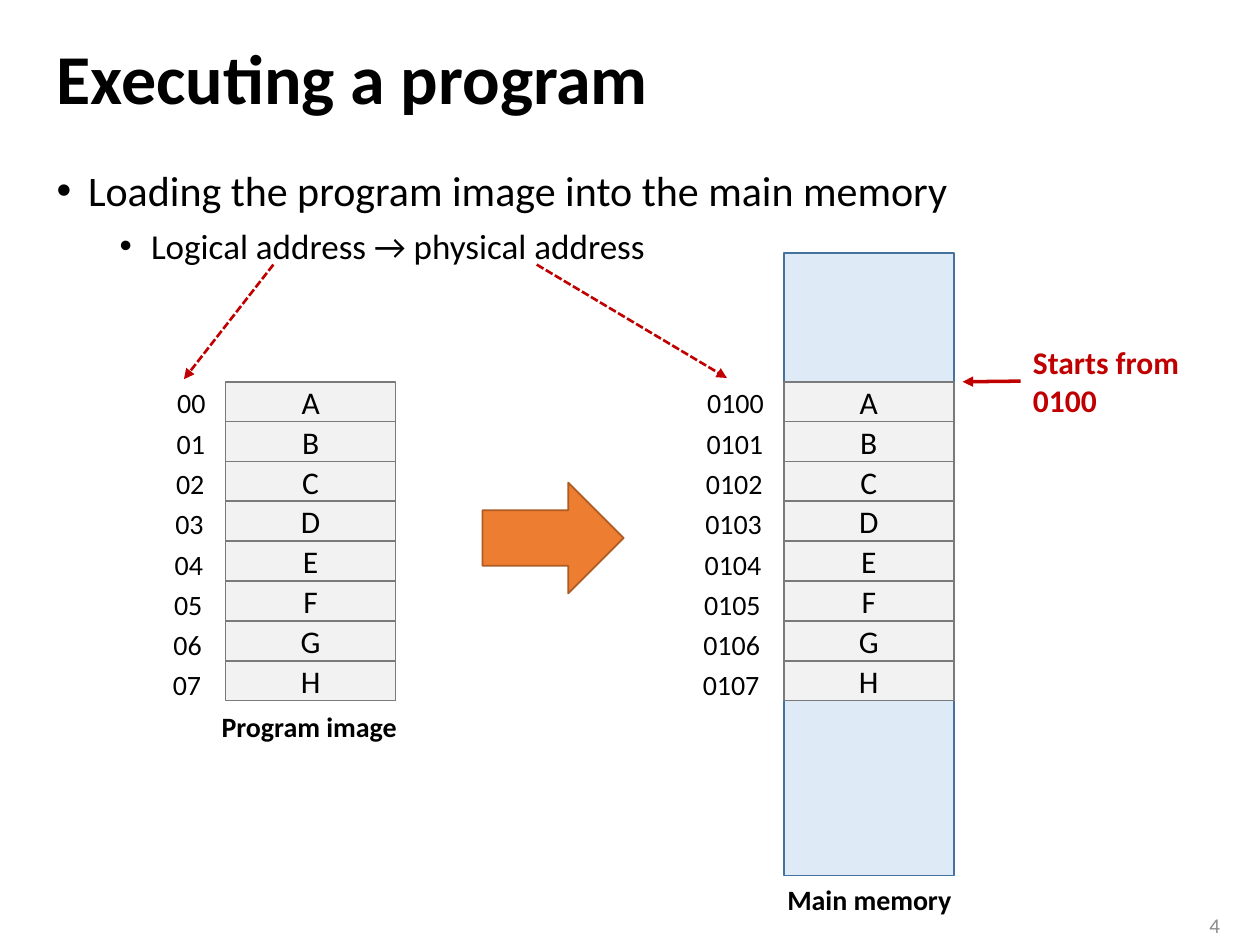
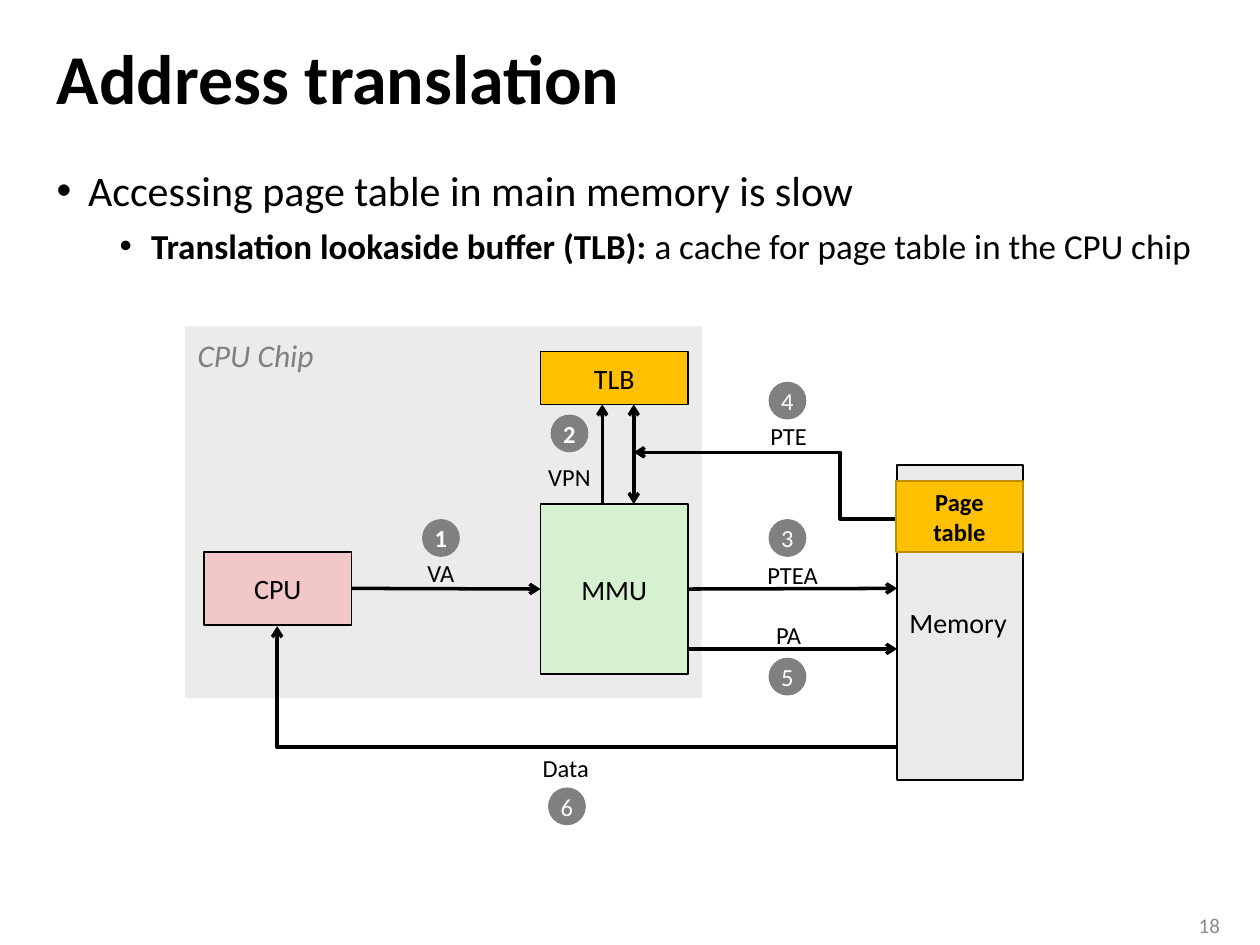
from dataclasses import dataclass

from lxml import etree
from pptx import Presentation
from pptx.dml.color import RGBColor
from pptx.enum import dml, shapes, text
from pptx.oxml import ns
from pptx.util import Inches, Pt


@dataclass(frozen=True)
class Theme:
    font: str = "Calibri"
    black: str = "000000"
    white: str = "FFFFFF"
    gray: str = "808080"
    pale: str = "EBEBEB"
    page: str = "8C8C8C"
    cell: str = "F2F2F2"
    edge: str = "7A7A7A"
    blue: str = "DEEBF7"
    navy: str = "43739E"
    orange: str = "ED7D31"
    rust: str = "AF5C24"
    red: str = "C00000"
    gold: str = "FFC000"
    ochre: str = "BD8E00"
    green: str = "D5F1CF"
    pink: str = "F1C7C7"
    title: int = 40
    head: int = 24
    sub: int = 20
    big: int = 18
    mid: int = 16
    small: int = 14
    foot: int = 12


T = Theme()
LEFT, MID, RIGHT = text.PP_ALIGN.LEFT, text.PP_ALIGN.CENTER, text.PP_ALIGN.RIGHT
RECT, OVAL = shapes.MSO_SHAPE.RECTANGLE, shapes.MSO_SHAPE.OVAL
ARROW = shapes.MSO_SHAPE.RIGHT_ARROW
LINE, ELBOW = shapes.MSO_CONNECTOR.STRAIGHT, shapes.MSO_CONNECTOR.ELBOW

# Each bullet: (left indent, size, space before, [(words, bold), ...])
LOAD = {
    "title": "Executing a program",
    "page": "4",
    "list": [
        (0.25, T.head, 0, [("Loading the program image into the main memory", False)]),
        (0.75, T.sub, 5, [("Logical address → physical address", False)]),
    ],
}
TRANS = {
    "title": "Address translation",
    "page": "18",
    "list": [
        (0.25, T.head, 0, [("Accessing page table in main memory is slow", False)]),
        (0.75, T.sub, 5, [("Translation lookaside buffer (TLB):", True),
                          (" a cache for page table in the CPU chip", False)]),
    ],
}

# Program image and main memory: the same cells, other addresses
CELLS = "ABCDEFGH"
STACKS = [(1.79, "0"), (6.22, "010")]  # left, address prefix
TOP, WIDE, TALL = 3.03, 1.35, 2.53
CAPS = [("Program image", (1.66, 5.58, 1.61, 0.37)),
        ("Main memory", (6.15, 6.95, 1.52, 0.37))]
LINKS = [((2.17, 2.1), (1.46, 3.01)), ((4.26, 2.1), (5.77, 3))]

# Parts of the translation path: place, fill
UNITS = {
    "MMU": ((4.29, 4, 1.17, 1.35), T.green),
    "CPU": ((1.62, 4.38, 1.17, 0.58), T.pink),
    "TLB": ((4.29, 2.79, 1.17, 0.42), T.gold),
}
SIGNS = [("PA", 6.26, 4.87), ("Data", 4.49, 5.93), ("VA", 3.5, 4.38),
         ("PTE", 6.26, 3.29), ("VPN", 4.52, 3.62), ("PTEA", 6.29, 4.4)]  # centre, top
STEPS = [("1", 3.35, 4.12, True), ("2", 4.37, 3.29, True), ("3", 6.1, 4.12, False),
         ("4", 6.1, 3.03, False), ("5", 6.1, 5.22, False), ("6", 4.35, 6.25, False)]
DOT = 0.3


def rgb(code):
    return RGBColor.from_string(code)


def ink(run, size, color=T.black, bold=False, italic=False):
    font = run.font
    font.name, font.size = T.font, Pt(size)
    font.bold, font.italic = bold, italic
    font.color.rgb = rgb(color)


def put(slide, at, words="", size=T.mid, fill=None, edge=None, width=1, kind=RECT,
        align=MID, anchor=text.MSO_ANCHOR.MIDDLE, wrap=False, **look):
    """Add a shape, or a text box when there is neither fill nor edge."""
    spot = [Inches(v) for v in at]
    if fill or edge:
        part = slide.shapes.add_shape(kind, *spot)
        part.shadow.inherit = False
        part.fill.solid()
        part.fill.fore_color.rgb = rgb(fill)
        if edge:
            part.line.color.rgb = rgb(edge)
            part.line.width = Pt(width)
        else:
            part.line.fill.background()
    else:
        part = slide.shapes.add_textbox(*spot)
    if words:
        frame = part.text_frame
        frame.text = words
        frame.word_wrap = wrap
        frame.vertical_anchor = anchor
        for para in frame.paragraphs:
            para.alignment = align
            for run in para.runs:
                ink(run, size, **look)
    return part


def wire(slide, start, end, color=T.black, width=2, tip="arrow", both=False,
         dash=False, kind=LINE):
    """Add a connector with an arrowhead at its end, or at both ends."""
    link = slide.shapes.add_connector(kind, *[Inches(v) for v in (*start, *end)])
    link.line.color.rgb = rgb(color)
    link.line.width = Pt(width)
    if dash:
        link.line.dash_style = dml.MSO_LINE.SQUARE_DOT
    pen = link.line._get_or_add_ln()
    for name in ["headEnd"] * both + ["tailEnd"]:
        etree.SubElement(pen, ns.qn("a:" + name), type=tip)
    etree.SubElement(link._element.spPr, ns.qn("a:effectLst"))
    return link


def bend(link, preset, adj=None):
    """Choose the elbow's preset and where along its width it turns."""
    geom = link._element.spPr.find(ns.qn("a:prstGeom"))
    geom.set("prst", preset)
    if adj:
        stops = geom.find(ns.qn("a:avLst"))
        if stops is None:
            stops = etree.SubElement(geom, ns.qn("a:avLst"))
        etree.SubElement(stops, ns.qn("a:gd"), name="adj1", fmla=f"val {adj}")


def start(deck, data):
    """Add a slide with its title, bullets and page number."""
    slide = deck.slides.add_slide(deck.slide_layouts[5])
    title = slide.shapes.title
    title.left, title.top, title.width, title.height = map(Inches, (0.35, 0.19, 9.29, 0.92))
    frame = title.text_frame
    frame.text = data["title"]
    frame.auto_size = text.MSO_AUTO_SIZE.NONE
    frame.vertical_anchor = text.MSO_ANCHOR.MIDDLE
    para = frame.paragraphs[0]
    para.alignment, para.line_spacing = LEFT, 0.9
    ink(para.runs[0], T.title, bold=True)

    body = slide.shapes.add_textbox(*map(Inches, (0.35, 1.26, 9.29, 5.83))).text_frame
    body.word_wrap = True
    for i, (left, size, gap, runs) in enumerate(data["list"]):
        para = body.add_paragraph() if i else body.paragraphs[0]
        para.space_before = Pt(gap)
        prop = para._p.get_or_add_pPr()
        prop.set("marL", str(Inches(left)))
        prop.set("indent", str(Inches(-0.25)))
        etree.SubElement(prop, ns.qn("a:buFont"), typeface="Arial")
        etree.SubElement(prop, ns.qn("a:buChar"), char="•")
        for words, bold in runs:
            run = para.add_run()
            run.text = words
            ink(run, size, bold=bold)
    put(slide, (9.27, 7.19, 0.51, 0.31), data["page"], T.foot, align=RIGHT,
        wrap=True, color=T.page)
    return slide


def load(deck):
    slide = start(deck, LOAD)
    put(slide, (6.22, 2.01, WIDE, 4.94), fill=T.blue, edge=T.navy)
    step = TALL / len(CELLS)
    for left, prefix in STACKS:
        for i, name in enumerate(CELLS):
            put(slide, (left, TOP + i * step, WIDE, step), name, T.big, T.cell, T.edge)
            put(slide, (left - 0.96 - i * 0.005, 3.01 + i * 0.32, 0.9, 0.37),
                f"{prefix}{i}", align=RIGHT, wrap=True)
    put(slide, (3.83, 3.83, 1.12, 0.88), fill=T.orange, edge=T.rust, kind=ARROW)
    note = put(slide, (8.1, 2.67, 1.37, 0.71), "Starts from\n0100", T.big, align=LEFT,
               color=T.red, bold=True)
    link = wire(slide, (8.1, TOP), (7.64, TOP), T.red, tip="triangle")
    link.begin_connect(note, 1)
    for words, at in CAPS:
        put(slide, at, words, align=LEFT, bold=True)
    for a, b in LINKS:
        wire(slide, a, b, T.red, 1.5, "triangle", dash=True)


def trans(deck):
    slide = start(deck, TRANS)
    put(slide, (1.47, 2.59, 4.1, 2.95), fill=T.pale)
    put(slide, (1.47, 2.62, 1.16, 0.4), "CPU Chip", T.big, align=LEFT,
        color=T.gray, italic=True)
    put(slide, (7.12, 3.69, 1, 2.5), "Memory", fill=T.pale, edge=T.black, width=1.5,
        align=LEFT)
    units = {name: put(slide, at, name, fill=fill, edge=T.black)
             for name, (at, fill) in UNITS.items()}

    va = wire(slide, (2.79, 4.67), (4.29, 4.67))
    va.begin_connect(units["CPU"], 3)
    va.end_connect(units["MMU"], 1)
    ptea = wire(slide, (5.46, 4.67), (7.12, 4.67))
    ptea.begin_connect(units["MMU"], 3)
    wire(slide, (5.46, 5.15), (7.12, 5.15))
    wire(slide, (4.78, 4), (4.78, 3.21))
    wire(slide, (5.03, 3.21), (5.03, 4), both=True)
    bend(wire(slide, (7.12, 5.93), (2.2, 4.97), kind=ELBOW), "bentConnector2")
    bend(wire(slide, (7.12, 4.12), (5.03, 3.59), kind=ELBOW), "bentConnector3", 21600)

    for words, mid, top in SIGNS:
        put(slide, (mid - 0.3, top, 0.6, 0.33), words, T.small)
    for num, left, top, bold in STEPS:
        put(slide, (left, top, DOT, DOT), num, T.small, T.gray, kind=OVAL,
            color=T.white, bold=bold)
    put(slide, (7.11, 3.82, 1.01, 0.56), "Page\ntable", T.small, T.gold, T.ochre, bold=True)


def main():
    deck = Presentation()
    deck.slide_width, deck.slide_height = Inches(10), Inches(7.5)
    load(deck)
    trans(deck)
    deck.save("out.pptx")


if __name__ == "__main__":
    main()
